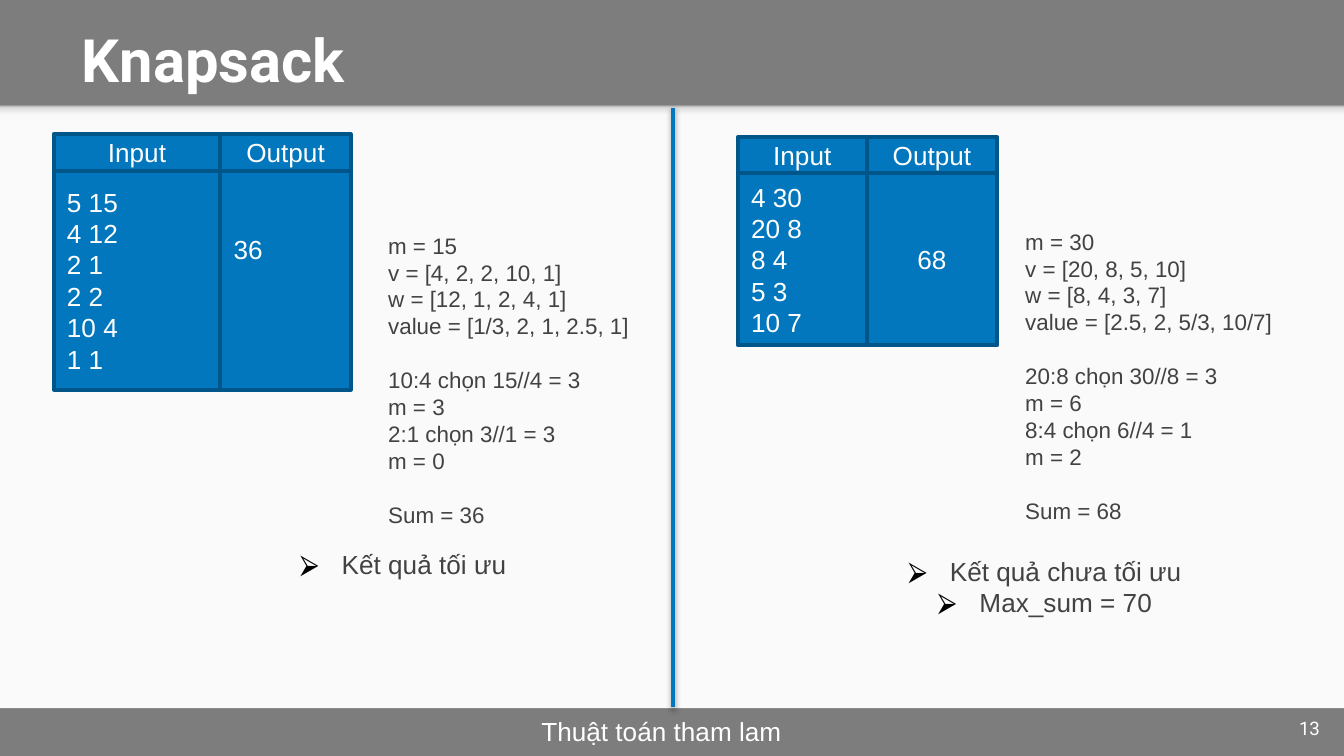
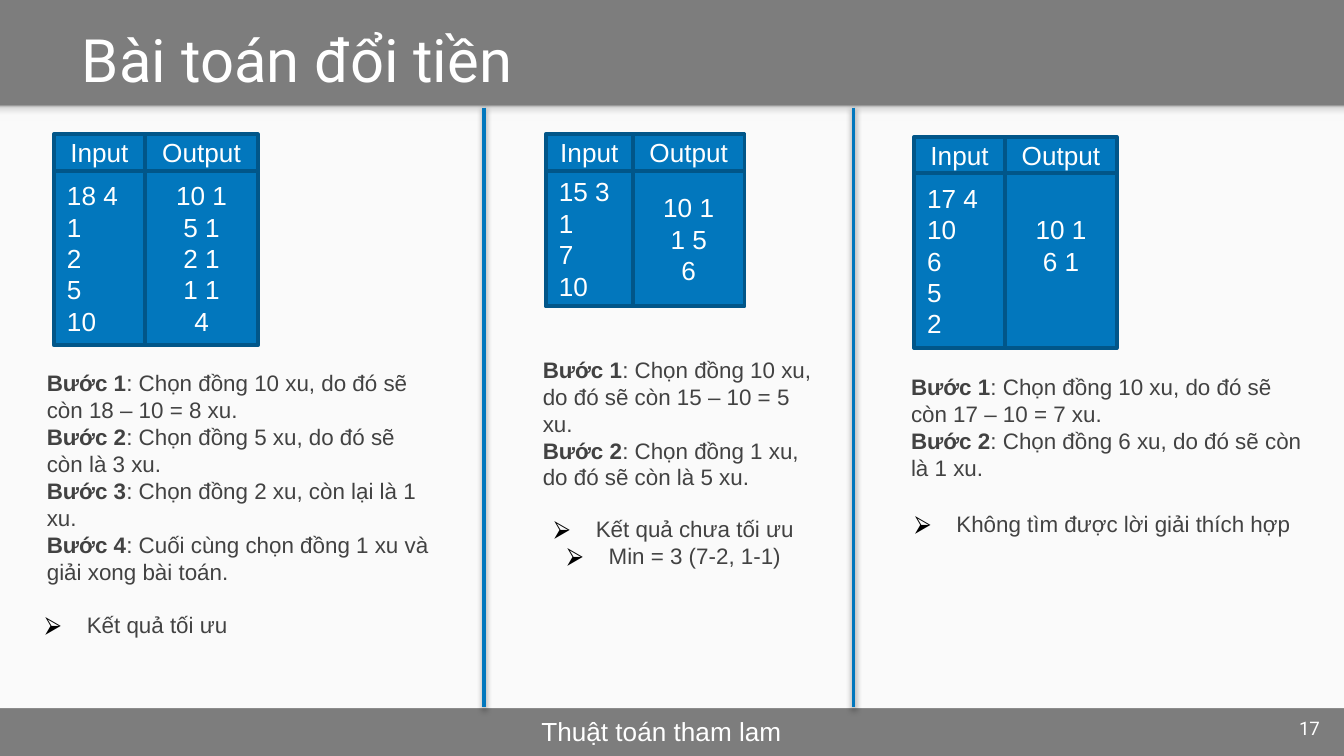
from lxml import etree
from pptx import Presentation
from pptx import util as u
from pptx.dml.color import RGBColor
from pptx.enum import shapes, text
from pptx.oxml import ns

Inches, Pt = u.Inches, u.Pt
LEFT, CENTER, RIGHT = text.PP_ALIGN.LEFT, text.PP_ALIGN.CENTER, text.PP_ALIGN.RIGHT
TOP, MIDDLE, BOTTOM = text.MSO_ANCHOR.TOP, text.MSO_ANCHOR.MIDDLE, text.MSO_ANCHOR.BOTTOM

COLORS = {
    "band": "7D7D7D", "panel": "FAFAFA", "white": "FFFFFF", "ink": "424242",
    "blue": "0277BD", "edge": "015689", "black": "000000",
    "fade_light": "F9F9F9", "fade_mid": "DEDEDE", "fade_dark": "999999",
}
BODY_FONT, TITLE_FONT = "Arial", "Roboto"
LINE = 1.2            # line height as a share of the text size
PANEL_TOP, PANEL_BOTTOM = 0.8, 5.27
HEADER_HEIGHT = 0.27


def color(name):
    """Return the named palette colour."""
    return RGBColor.from_string(COLORS[name])


def add_xml(parent, tag, **attributes):
    """Append a DrawingML element to parent and return it."""
    return etree.SubElement(parent, ns.qn("a:" + tag), attributes)


def place(shape, box):
    """Move a shape to box = (left, top, width, height) in inches."""
    shape.left, shape.top, shape.width, shape.height = map(Inches, box)


def add_bullet(paragraph):
    """Give a paragraph a black arrow bullet with a hanging indent."""
    properties = paragraph._p.get_or_add_pPr()
    properties.set("marL", str(Inches(0.31)))
    properties.set("indent", str(-Inches(0.31)))
    add_xml(add_xml(properties, "buClr"), "srgbClr", val=COLORS["black"])
    add_xml(properties, "buFont", typeface=BODY_FONT)
    add_xml(properties, "buChar", char="⮚")


def write(shape, groups, size, ink, align=LEFT, anchor=MIDDLE, font=BODY_FONT,
          bold=False, bullets=False, pad=0.05):
    """Fill a shape with groups of lines, set one line apart."""
    frame = shape.text_frame
    frame.word_wrap = True
    frame.auto_size = text.MSO_AUTO_SIZE.NONE
    frame.vertical_anchor = anchor
    frame.margin_left = frame.margin_right = Inches(0.1)
    frame.margin_top = frame.margin_bottom = Inches(pad)
    lines = [(row, number > 0 and index == 0)
             for number, group in enumerate(groups) for index, row in enumerate(group)]
    frame.text = "\n".join(row for row, _ in lines)
    for paragraph, (_, gap_before) in zip(frame.paragraphs, lines):
        paragraph.alignment = align
        if gap_before:
            paragraph.space_before = Pt(size * LINE)
        if bullets:
            add_bullet(paragraph)
        for run in paragraph.runs:
            run.font.name, run.font.size, run.font.bold = font, Pt(size), bold
            run.font.color.rgb = color(ink)


def add_label(slide, box, groups, size, ink="ink", **style):
    """Add a text box and write into it."""
    label = slide.shapes.add_textbox(*map(Inches, box))
    write(label, groups, size, ink, **style)
    return label


def add_block(slide, box, fill, edge=None):
    """Add a flat rectangle, outlined if an edge colour is given."""
    block = slide.shapes.add_shape(shapes.MSO_SHAPE.RECTANGLE, *map(Inches, box))
    block.shadow.inherit = False
    block.fill.solid()
    block.fill.fore_color.rgb = color(fill)
    if edge:
        block.line.color.rgb = color(edge)
        block.line.width = Pt(2)
    else:
        block.line.fill.background()
    return block


def add_header_shade(slide, box):
    """Add the soft shade that the header casts on the panel."""
    shade = add_block(slide, box, "fade_light")
    solid = shade._element.spPr.find(ns.qn("a:solidFill"))
    gradient = etree.Element(ns.qn("a:gradFill"), rotWithShape="1")
    stops = add_xml(gradient, "gsLst")
    for percent, name in ((0, "fade_light"), (36, "fade_light"),
                          (80, "fade_mid"), (100, "fade_dark")):
        stop = add_xml(stops, "gs", pos=str(percent * 1000))
        add_xml(stop, "srgbClr", val=COLORS[name])
    add_xml(gradient, "lin", ang=str(270 * 60000), scaled="0")
    solid.getparent().replace(solid, gradient)


def add_frame(deck, heading, number, bold=False):
    """Start a slide with its panel, title, footer and number."""
    slide = deck.slides.add_slide(deck.slide_layouts[5])
    slide.background.fill.solid()
    slide.background.fill.fore_color.rgb = color("band")
    add_block(slide, (0, PANEL_TOP, 10, PANEL_BOTTOM - PANEL_TOP), "panel")
    add_header_shade(slide, (0, 0.78, 10, 0.12))
    title = slide.shapes.title
    place(title, (0.51, 0.07, 8.99, 0.73))
    write(title, [[heading]], 32, "white", anchor=BOTTOM, font=TITLE_FONT,
          bold=bold, pad=0.1)
    add_label(slide, (3.93, 5.28, 2.13, 0.32), [["Thuật toán tham lam"]], 14,
              "white", pad=0.1)
    add_label(slide, (9.32, 5.27, 0.6, 0.3), [[number]], 10, "white",
              align=RIGHT, font=TITLE_FONT, pad=0.1)
    return slide


def add_divider(slide, x):
    """Add a shadowed vertical line between two columns."""
    divider = slide.shapes.add_connector(
        shapes.MSO_CONNECTOR.STRAIGHT,
        *map(Inches, (x, PANEL_TOP, x, PANEL_BOTTOM - 0.01)))
    divider.line.color.rgb = color("blue")
    divider.line.width = Pt(2)
    effects = add_xml(divider._element.spPr, "effectLst")
    shadow = add_xml(effects, "outerShdw", blurRad=str(Pt(3.1)), dist=str(Pt(1.6)),
                     dir=str(90 * 60000), rotWithShape="0")
    shadow_color = add_xml(shadow, "srgbClr", val=COLORS["black"])
    add_xml(shadow_color, "alpha", val="38000")


def add_example(slide, box, input_width, inputs, outputs, output_align=CENTER, lift=0):
    """Add an Input/Output pair; lift raises the output by spare lines below it."""
    left, top, width, height = box
    columns = (("Input", left, input_width, inputs, LEFT),
               ("Output", left + input_width, width - input_width, outputs, output_align))
    for heading, x, column_width, rows, align in columns:
        header = add_block(slide, (x, top, column_width, HEADER_HEIGHT), "blue", "edge")
        write(header, [[heading]], 14, "white", align=CENTER)
        body = add_block(slide, (x, top + HEADER_HEIGHT, column_width,
                                 height - HEADER_HEIGHT), "blue", "edge")
        write(body, [rows], 14, "white", align=align)
    body.text_frame.margin_bottom = Inches(0.05) + Pt(14 * LINE * lift)


def add_steps(slide, box, steps, anchor=MIDDLE):
    """Add numbered steps, each with a bold label."""
    label = add_label(slide, box, [steps], 12, anchor=anchor)
    for number, (paragraph, step) in enumerate(zip(label.text_frame.paragraphs, steps), 1):
        lead = paragraph.runs[0]
        lead.text, lead.font.bold = f"Bước {number}", True
        rest = paragraph.add_run()
        rest.text = ": " + step
        rest.font.name, rest.font.size, rest.font.bold = BODY_FONT, Pt(12), False
        rest.font.color.rgb = color("ink")


def add_verdict(slide, box, rows, size, anchor=MIDDLE):
    """Add the bulleted conclusion of an example."""
    add_label(slide, box, [rows], size, align=CENTER, anchor=anchor, bullets=True)


def build_knapsack(deck):
    """Build the slide with two knapsack examples."""
    slide = add_frame(deck, "Knapsack", "13", bold=True)
    add_divider(slide, 5.01)

    add_example(slide, (0.4, 1, 2.21, 1.9), 1.24,
                ["5 15", "4 12", "2 1", "2 2", "10 4", "1 1"], ["36"],
                output_align=LEFT, lift=2)
    add_label(slide, (2.79, 1.67, 2.04, 2.31), [
        ["m = 15", "v = [4, 2, 2, 10, 1]", "w = [12, 1, 2, 4, 1]",
         "value = [1/3, 2, 1, 2.5, 1]"],
        ["10:4 chọn 15//4 = 3", "m = 3", "2:1 chọn 3//1 = 3", "m = 0"],
        ["Sum = 36"]], 12)
    add_verdict(slide, (1.19, 4.06, 3.62, 0.28), ["Kết quả tối ưu"], 14)

    add_example(slide, (5.49, 1.02, 1.93, 1.55), 0.96,
                ["4 30", "20 8", "8 4", "5 3", "10 7"], ["68"])
    add_label(slide, (7.53, 1.67, 2.22, 2.25), [
        ["m = 30", "v = [20, 8, 5, 10]", "w = [8, 4, 3, 7]",
         "value = [2.5, 2, 5/3, 10/7]"],
        ["20:8 chọn 30//8 = 3", "m = 6", "8:4 chọn 6//4 = 1", "m = 2"],
        ["Sum = 68"]], 12)
    add_verdict(slide, (6.1, 4.06, 3.35, 0.61),
                ["Kết quả chưa tối ưu", "Max_sum = 70"], 14)


def build_coin_change(deck):
    """Build the slide with three coin change examples."""
    slide = add_frame(deck, "Bài toán đổi tiền", "17")
    for x in (3.6, 6.35):
        add_divider(slide, x)

    add_example(slide, (0.4, 1, 1.52, 1.57), 0.68,
                ["18 4", "1", "2", "5", "10"], ["10 1", "5 1", "2 1", "1 1", "4"])
    add_steps(slide, (0.25, 2.73, 3.05, 1.64), [
        "Chọn đồng 10 xu, do đó sẽ còn 18 – 10 = 8 xu.",
        "Chọn đồng 5 xu, do đó sẽ còn là 3 xu.",
        "Chọn đồng 2 xu, còn lại là 1 xu.",
        "Cuối cùng chọn đồng 1 xu và giải xong bài toán."])
    add_verdict(slide, (0, 4.51, 2.03, 0.28), ["Kết quả tối ưu"], 12)

    add_example(slide, (4.06, 1, 1.48, 1.28), 0.65,
                ["15 3", "1", "7", "10"], ["10 1", "1 5", "6"])
    add_steps(slide, (3.94, 2.57, 2.22, 1.16), [
        "Chọn đồng 10 xu, do đó sẽ còn 15 – 10 = 5 xu.",
        "Chọn đồng 1 xu, do đó sẽ còn là 5 xu."])
    add_verdict(slide, (3.34, 3.73, 3.35, 0.61),
                ["Kết quả chưa tối ưu", "Min = 3 (7-2, 1-1)"], 12)

    add_example(slide, (6.8, 1.02, 1.51, 1.57), 0.68,
                ["17 4", "10", "6", "5", "2"], ["10 1", "6 1"], lift=1)
    add_steps(slide, (6.68, 2.73, 3.15, 0.91), [
        "Chọn đồng 10 xu, do đó sẽ còn 17 – 10 = 7 xu.",
        "Chọn đồng 6 xu, do đó sẽ còn là 1 xu."], anchor=TOP)
    add_verdict(slide, (6.67, 3.75, 3.07, 0.3),
                ["Không tìm được lời giải thích hợp"], 12, anchor=TOP)


deck = Presentation()
deck.slide_width = Inches(10)
deck.slide_height = deck.slide_width * 9 // 16
build_knapsack(deck)
build_coin_change(deck)
deck.save("out.pptx")
